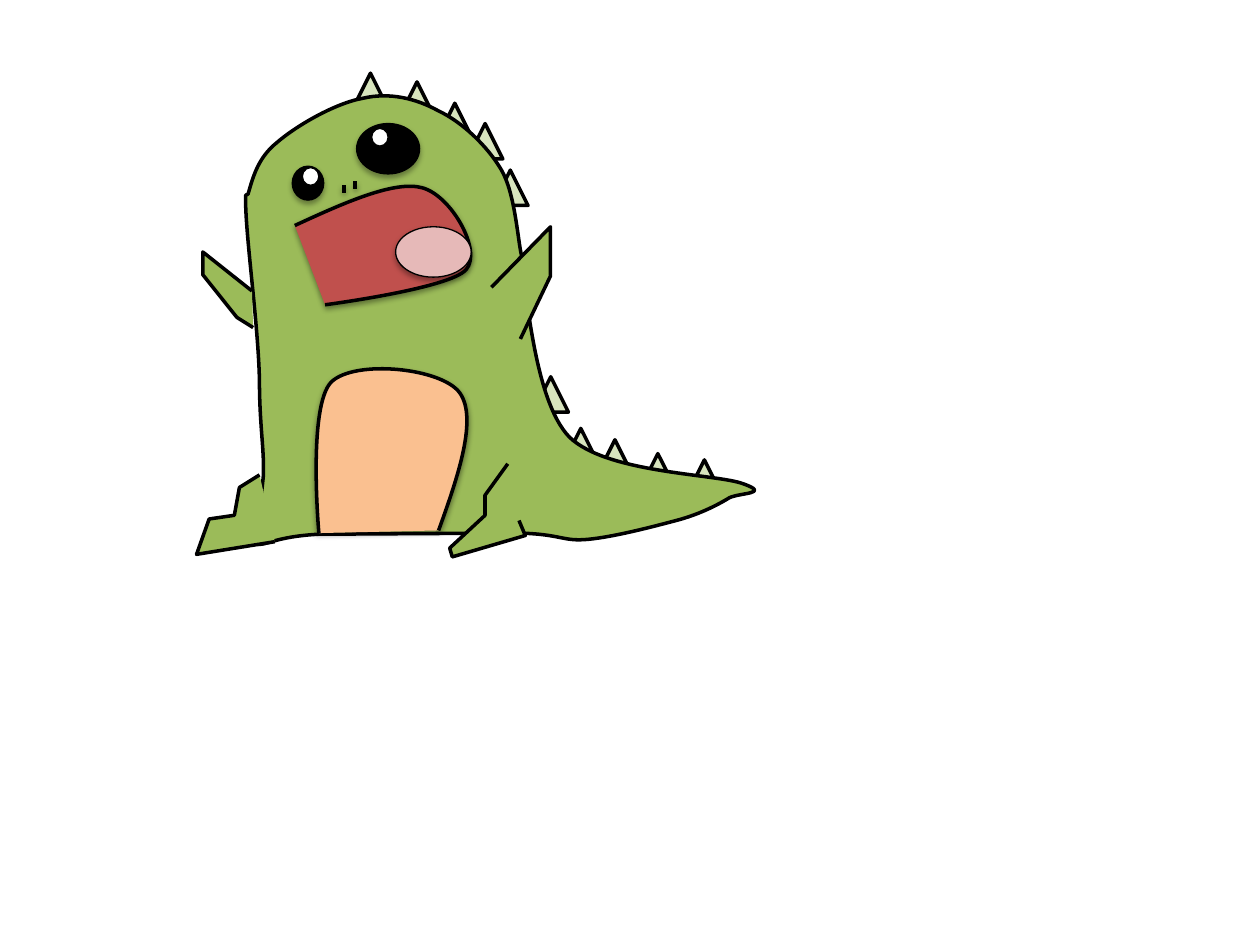
"""Build a slide with a cartoon dinosaur drawn from grouped shapes."""
from math import cos, radians, sin
from lxml.etree import SubElement
from pptx import Presentation
from pptx.dml.color import RGBColor
from pptx.enum.shapes import MSO_CONNECTOR, MSO_SHAPE
from pptx.oxml.ns import qn
from pptx.util import Pt

COLORS = {
    "outline": "000000", "spike": "D7E4BD", "skin": "9BBB59", "mouth": "C0504D",
    "belly": "FAC090", "tongue": "E6B9B8", "pupil": "000000", "glint": "FFFFFF",
}
THICK, THIN = 2, 0.75
SPIKE_SIZE = 20.2
SOFT_SHADOW = {"opacity": 35, "distance": 1.8}
DEEP_SHADOW = {"opacity": 38, "distance": 1.6}

SPIKES = [
    (201.6, 41.8), (228.2, 46.8), (249.8, 59), (267.1, 70.6), (281.5, 97.2),
    (304.6, 215.3), (321.8, 244.8), (341.3, 251.3), (365.8, 259.2), (392.4, 262.8),
]
BODY_BOX = (140.4, 54.7, 290.9, 256.3)
BODY = [
    (141.8, 110.9),
    (144.7, 100.8, 147.6, 90, 158.4, 81.4),
    (169.2, 72, 191.5, 59, 207.4, 56.2),
    (222.5, 52.6, 237.6, 56.2, 250.6, 63.4),
    (264.2, 69.8, 278.6, 83.5, 286.6, 97.2),
    (294.5, 110.9, 295.9, 137.5, 298.1, 146.2),
    (299.5, 154.1, 296.6, 147.6, 296.6, 147.6),
    (301.7, 164.9, 304.6, 228.2, 325.4, 249.8),
    (347, 270.7, 409.7, 270.7, 424.8, 276.5),
    (440.6, 282.2, 423.4, 281.5, 416.9, 284.4),
    (411.1, 288, 400.3, 293.8, 386.6, 297.4),
    (373, 301, 351.4, 306.7, 336.2, 308.2),
    (321.1, 309.6, 321.8, 305.3, 295.9, 304.6),
    (182.2, 305.3),
    (157, 306.7, 152.6, 311.8, 146.9, 311),
    (141.1, 310.3, 146.2, 308.2, 146.9, 301.7),
    (147.6, 295.2, 149, 287.3, 150.5, 272.2),
    (151.2, 257, 148.3, 243.4, 148.3, 217.4),
    (147.6, 183.6, 139.7, 131, 140.4, 111.6),
]
LIMBS = [
    [(280.8, 164.2), (314.6, 129.6), (314.6, 157.7), (297.4, 193.7)],
    [(144, 166.3), (115.9, 144), (115.9, 157), (135.4, 181.4), (144.7, 187.2)],
    [(290.2, 265), (277.2, 283), (277.2, 294.5), (257, 313.2), (258.5, 318.2),
     (300.2, 306), (296.6, 297.4)],
    [(148.3, 271.4), (136.8, 278.6), (133.9, 294.5), (119.5, 296.6), (112.3, 316.8),
     (157, 309.6)],
]
MOUTH_BOX = (168.5, 106.6, 100.8, 67.7)
MOUTH = [
    (168.5, 128.9),
    (196.6, 115.9, 225.4, 103, 241.2, 107.3),
    (257.8, 111.6, 275.8, 143.3, 266.4, 154.1),
    (257, 164.9, 185.8, 174.2, 185.8, 174.2),
]
BELLY_BOX = (171.4, 209.5, 100.8, 99.4)
BELLY_TURN = 254.9
BELLY = [
    (250.6, 303.1),
    (262.1, 271.4, 272.9, 239, 262.8, 224.6),
    (252.7, 210.2, 203, 205.2, 189.4, 218.2),
    (175.7, 231.8, 182.2, 304.6, 182.2, 304.6),
]
PUPILS = [(203.8, 70.6, 36, 28.8), (167, 95, 18, 19.4)]
GLINTS = [(212.4, 73.4, 9.4, 10.1), (172.8, 95.8, 9.4, 10.1)]
TONGUE = (226.1, 129.6, 43.2, 28.8)
NOSTRILS = [(196.6, 105.8), (203, 103.7)]
NOSTRIL_LENGTH = 4.3


def finish(part, width, fill=None, shadow=None):
    if fill:
        part.fill.solid()
        part.fill.fore_color.rgb = RGBColor.from_string(COLORS[fill])
    part.line.color.rgb = RGBColor.from_string(COLORS["outline"])
    part.line.width = Pt(width)
    effects = SubElement(part._element.spPr, qn("a:effectLst"))
    if shadow:
        cast = SubElement(
            effects, qn("a:outerShdw"), blurRad=str(Pt(3.1)),
            dist=str(Pt(shadow["distance"])), dir="5400000", rotWithShape="0")
        tint = SubElement(cast, qn("a:srgbClr"), val=COLORS["outline"])
        SubElement(tint, qn("a:alpha"), val=str(shadow["opacity"] * 1000))


def add_preset(dinosaur, preset, box, width, fill, shadow=None):
    part = dinosaur.shapes.add_shape(preset, *map(Pt, box))
    finish(part, width, fill, shadow)


def add_limb(dinosaur, outline):
    points = [(Pt(x), Pt(y)) for x, y in outline]
    builder = dinosaur.shapes.build_freeform(*points[0])
    builder.add_line_segments(points[1:], close=False)
    finish(builder.convert_to_shape(), THICK, "skin")


def add_curved(dinosaur, outline, box, fill, close=False, turn=0, shadow=None):
    left, top, width, height = box
    angle = radians(-turn)

    def place(x, y):
        dx, dy = x - left - width / 2, y - top - height / 2
        return (Pt(width / 2 + dx * cos(angle) - dy * sin(angle)),
                Pt(height / 2 + dx * sin(angle) + dy * cos(angle)))

    ends = [place(*step[-2:]) for step in outline]
    builder = dinosaur.shapes.build_freeform(*ends[0])
    builder.add_line_segments(ends[1:], close=close)
    part = builder.convert_to_shape()
    part.left, part.top, part.width, part.height = map(Pt, box)
    part.rotation = turn

    route = next(part._element.iter(qn("a:path")))
    route.set("w", str(Pt(width)))
    route.set("h", str(Pt(height)))
    for segment in list(route):
        route.remove(segment)
    for index, step in enumerate(outline):
        kind = "moveTo" if index == 0 else "lnTo" if len(step) == 2 else "cubicBezTo"
        segment = SubElement(route, qn(f"a:{kind}"))
        for x, y in zip(step[::2], step[1::2]):
            local_x, local_y = place(x, y)
            SubElement(segment, qn("a:pt"), x=str(local_x), y=str(local_y))
    if close:
        SubElement(route, qn("a:close"))
    finish(part, THICK, fill, shadow)


def main():
    deck = Presentation()
    deck.slide_width, deck.slide_height = Pt(720), Pt(540)
    slide = deck.slides.add_slide(deck.slide_layouts[6])
    dinosaur = slide.shapes.add_group_shape()

    for left, top in SPIKES:
        add_preset(dinosaur, MSO_SHAPE.ISOSCELES_TRIANGLE,
                   (left, top, SPIKE_SIZE, SPIKE_SIZE), THICK, "spike")
    add_curved(dinosaur, BODY, BODY_BOX, "skin", close=True)
    for limb in LIMBS:
        add_limb(dinosaur, limb)
    for pupil in PUPILS:
        add_preset(dinosaur, MSO_SHAPE.OVAL, pupil, THIN, "pupil", SOFT_SHADOW)
    add_curved(dinosaur, MOUTH, MOUTH_BOX, "mouth", shadow=DEEP_SHADOW)
    for glint in GLINTS:
        add_preset(dinosaur, MSO_SHAPE.OVAL, glint, THIN, "glint", SOFT_SHADOW)
    add_curved(dinosaur, BELLY, BELLY_BOX, "belly", turn=BELLY_TURN, shadow=DEEP_SHADOW)
    add_preset(dinosaur, MSO_SHAPE.OVAL, TONGUE, THIN, "tongue", SOFT_SHADOW)
    for x, y in NOSTRILS:
        nostril = dinosaur.shapes.add_connector(
            MSO_CONNECTOR.STRAIGHT, Pt(x), Pt(y), Pt(x), Pt(y + NOSTRIL_LENGTH))
        finish(nostril, THICK, shadow=DEEP_SHADOW)

    # The group frame follows its parts.
    deck.save("out.pptx")


if __name__ == "__main__":
    main()
